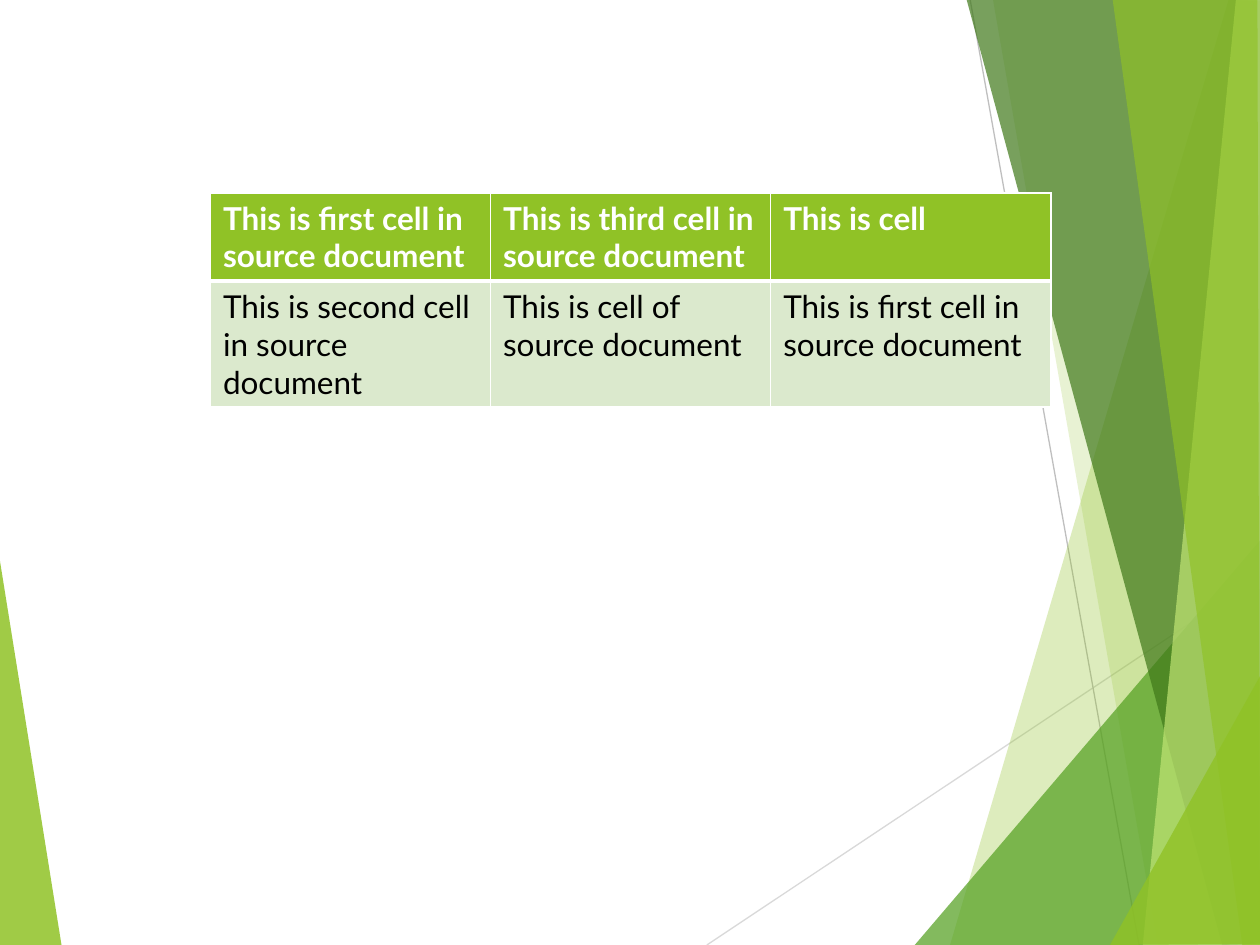
import lxml.etree
import pptx
import pptx.dml.color
import pptx.enum.shapes
import pptx.oxml.ns
import pptx.util

Inches = pptx.util.Inches
qn = pptx.oxml.ns.qn

COLORS = {
    "lime": "90C226",
    "green": "54A021",
    "forest": "3F7819",
    "pale_lime": "C0E474",
    "light_gray": "D9D9D9",
    "gray": "BFBFBF",
    "mint": "DBE9CD",
    "white": "FFFFFF",
    "black": "000000",
}

# Colour, opacity in percent, corner points in inches
LEFT_FACET = ("lime", 85, [(-0.01, 4.39), (0.49, 7.51), (-0.01, 7.5)])
RIGHT_FACETS = [
    ("lime", 30, [(9.75, 0), (7.54, 7.5), (10.02, 7.51), (10.01, 0.01)]),
    ("lime", 20, [(7.88, -0.01), (9.19, 7.5), (10.01, 7.5), (10.01, -0.01)]),
    ("green", 72, [(7.26, 7.5), (10, 4.29), (10.01, 7.5)]),
    ("forest", 70, [(7.67, -0.01), (9.7, 7.5), (10.01, 7.49), (10.01, -0.01)]),
    ("pale_lime", 70, [(9.81, -0.01), (9.07, 7.5), (10.01, 7.5), (10, -0.01)]),
    ("lime", 65, [(8.83, -0.01), (9.86, 7.5), (10, 7.5), (9.98, -0.01)]),
    ("lime", 80, [(8.81, 7.5), (10.01, 5.35), (10.01, 7.49)]),
]
RAYS = [
    ("light_gray", (5.61, 7.5), (10.01, 4.57)),
    ("gray", (7.7, 0), (9.04, 7.5)),
]

CELL_TEXTS = [
    ["This is first cell in source document",
     "This is third cell in source document",
     "This is cell"],
    ["This is second cell in source document",
     "This is cell of source document",
     "This is first cell in source document"],
]
FONT = {"name": "Lato", "size": pptx.util.Pt(18)}
# Border widths are points, in the order left, right, top, bottom
ROW_FORMATS = [
    {"fill": "lime", "text": "white", "font": {**FONT, "bold": True},
     "borders": (1, 1, 1, 3)},
    {"fill": "mint", "text": "black", "font": {**FONT, "bold": False},
     "borders": (1, 1, 3, 1)},
]


def rgb(name):
    """Return the named colour."""
    return pptx.dml.color.RGBColor.from_string(COLORS[name])


def add_element(parent, tag, **attributes):
    """Append an XML element to its parent."""
    return lxml.etree.SubElement(parent, qn(tag), **attributes)


def add_facet(slide, color, opacity, corners):
    """Draw a translucent polygon."""
    start, *others = [(Inches(x), Inches(y)) for x, y in corners]
    outline = slide.shapes.build_freeform(*start)
    outline.add_line_segments(others, close=True)
    facet = outline.convert_to_shape()
    facet.shadow.inherit = False
    facet.fill.solid()
    facet.fill.fore_color.rgb = rgb(color)
    facet.line.fill.background()
    fill_color = facet.element.spPr.find(qn("a:solidFill")).find(qn("a:srgbClr"))
    add_element(fill_color, "a:alpha", val=str(opacity * 1000))


def add_ray(slide, color, start, end):
    """Draw a thin straight line."""
    ray = slide.shapes.add_connector(
        pptx.enum.shapes.MSO_CONNECTOR.STRAIGHT,
        *[Inches(value) for value in start + end])
    ray.line.color.rgb = rgb(color)
    ray.line.width = pptx.util.Pt(0.75)
    add_element(ray.element.spPr, "a:effectLst")


def set_borders(cell, widths):
    """Give the four sides of a cell white borders."""
    properties = cell._tc.get_or_add_tcPr()
    for position, (side, width) in enumerate(zip("LRTB", widths)):
        border = add_element(properties, f"a:ln{side}",
                             w=str(int(pptx.util.Pt(width))))
        line_fill = add_element(border, "a:solidFill")
        add_element(line_fill, "a:srgbClr", val=COLORS["white"])
        properties.insert(position, border)


def fill_cell(cell, text, row_format):
    """Write and format one table cell."""
    cell.fill.solid()
    cell.fill.fore_color.rgb = rgb(row_format["fill"])
    set_borders(cell, row_format["borders"])
    run = cell.text_frame.paragraphs[0].add_run()
    run.text = text
    for attribute, value in row_format["font"].items():
        setattr(run.font, attribute, value)
    run.font.color.rgb = rgb(row_format["text"])


def add_cell_table(slide):
    """Add the table of source document cells."""
    cells = slide.shapes.add_table(
        len(CELL_TEXTS), len(CELL_TEXTS[0]),
        Inches(1.67), Inches(1.53), Inches(6.67), Inches(0.82)).table
    for row, texts, row_format in zip(cells.rows, CELL_TEXTS, ROW_FORMATS):
        for cell, text in zip(row.cells, texts):
            fill_cell(cell, text, row_format)


def main():
    """Build and save the slide."""
    deck = pptx.Presentation()
    deck.slide_width, deck.slide_height = Inches(10), Inches(7.5)
    slide = deck.slides.add_slide(deck.slide_layouts[6])
    add_facet(slide, *LEFT_FACET)
    for ray in RAYS:
        add_ray(slide, *ray)
    for facet in RIGHT_FACETS:
        add_facet(slide, *facet)
    add_cell_table(slide)
    deck.save("out.pptx")


main()
